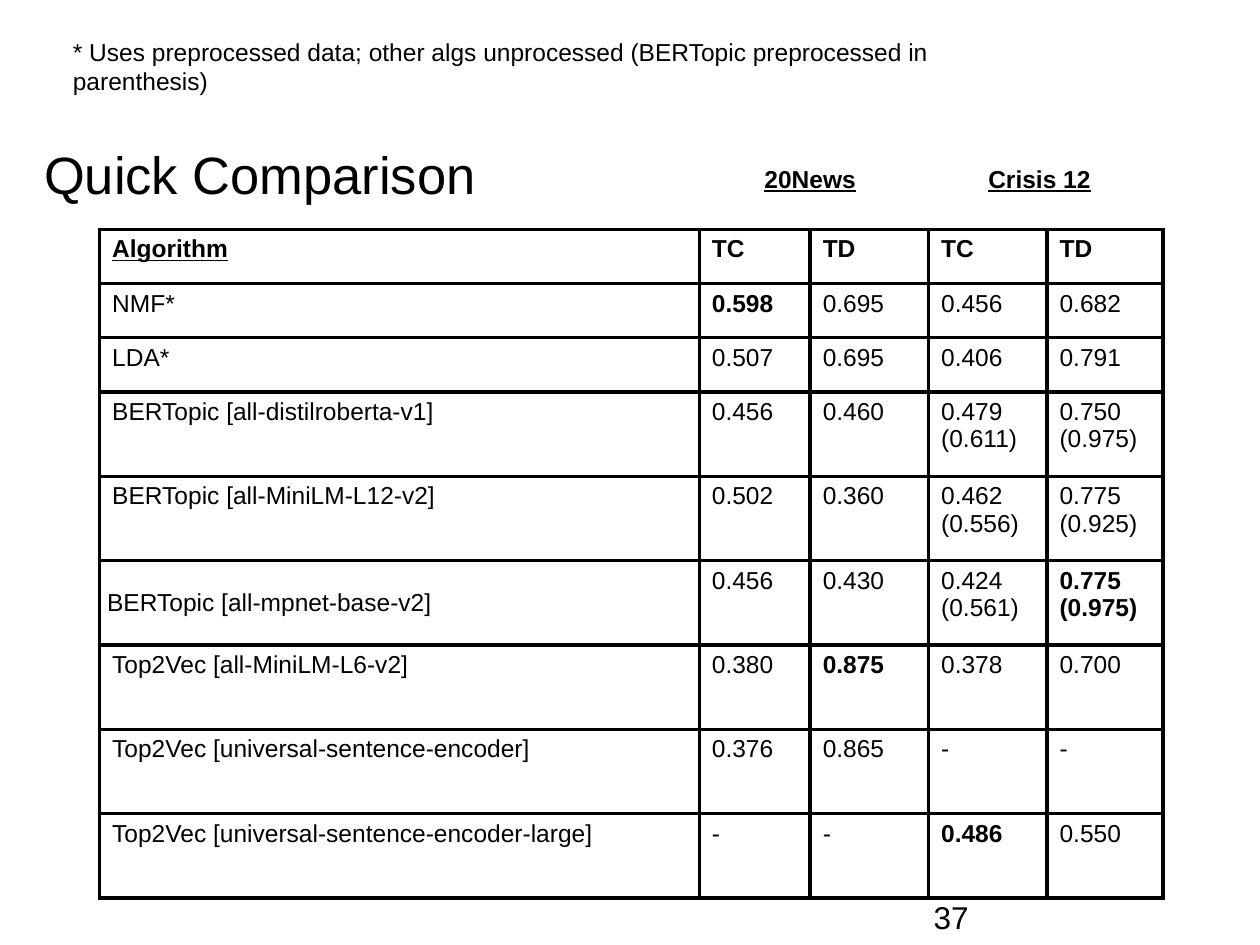
"""Build a slide comparing topic modelling algorithms on two data sets."""
from lxml.etree import SubElement
from pptx import Presentation
from pptx.dml.color import RGBColor
from pptx.enum.text import MSO_ANCHOR as Anchor, PP_ALIGN as Align
from pptx.oxml.ns import qn
from pptx.util import Inches, Pt

BLACK = RGBColor(0x00, 0x00, 0x00)
FONT = "Arial"
BORDER_WIDTH = Pt(2.21)


def write_text(frame, text, size=14, bold=False, underline=False,
               align=Align.LEFT, spacing=None):
    frame.word_wrap = True
    paragraph = frame.paragraphs[0]
    paragraph.alignment = align
    paragraph.line_spacing = spacing
    run = paragraph.add_run()
    run.text = text
    run.font.name = FONT
    run.font.size = Pt(size)
    run.font.bold = bold
    run.font.underline = underline
    run.font.color.rgb = BLACK


def add_borders(cell):
    properties = cell._tc.get_or_add_tcPr()
    for position, side in enumerate(("a:lnL", "a:lnR", "a:lnT", "a:lnB")):
        line = SubElement(properties, qn(side), w=str(BORDER_WIDTH))
        fill = SubElement(line, qn("a:solidFill"))
        SubElement(fill, qn("a:srgbClr"), val=str(BLACK))
        properties.remove(line)
        properties.insert(position, line)


presentation = Presentation()
presentation.slide_width = Inches(10)
presentation.slide_height = Inches(7.5)
slide = presentation.slides.add_slide(presentation.slide_layouts[6])

heading = {"bold": True, "underline": True, "align": Align.CENTER}
note = ("* Uses preprocessed data; other algs unprocessed "
        "(BERTopic preprocessed in parenthesis)")
text_boxes = [
    ("37", (7.41, 7.08, 2.24, 0.4), (0, 0.05), Anchor.MIDDLE, {"size": 18}),
    ("Quick Comparison", (0.35, 1.1, 9.3, 0.45), (0, 0), Anchor.TOP,
     {"size": 30, "spacing": 1.06}),
    ("20News", (5.75, 1.2, 1.36, 0.43), (0.1, 0.1), Anchor.TOP, heading),
    ("Crisis 12", (7.57, 1.2, 1.36, 0.43), (0.1, 0.1), Anchor.TOP, heading),
    (note, (0.48, 0.19, 8.11, 0.67), (0.1, 0.1), Anchor.TOP, {}),
]
for text, bounds, (side_margin, end_margin), anchor, text_format in text_boxes:
    box = slide.shapes.add_textbox(*[Inches(length) for length in bounds])
    frame = box.text_frame
    frame.margin_left = frame.margin_right = Inches(side_margin)
    frame.margin_top = frame.margin_bottom = Inches(end_margin)
    frame.vertical_anchor = anchor
    write_text(frame, text, **text_format)

rows = [
    ("Algorithm", "TC", "TD", "TC", "TD"),
    ("NMF*", "0.598", "0.695", "0.456", "0.682"),
    ("LDA*", "0.507", "0.695", "0.406", "0.791"),
    ("BERTopic [all-distilroberta-v1]", "0.456", "0.460",
     "0.479 (0.611)", "0.750 (0.975)"),
    ("BERTopic [all-MiniLM-L12-v2]", "0.502", "0.360",
     "0.462 (0.556)", "0.775 (0.925)"),
    ("BERTopic [all-mpnet-base-v2]", "0.456", "0.430",
     "0.424 (0.561)", "0.775 (0.975)"),
    ("Top2Vec [all-MiniLM-L6-v2]", "0.380", "0.875", "0.378", "0.700"),
    ("Top2Vec [universal-sentence-encoder]", "0.376", "0.865", "-", "-"),
    ("Top2Vec [universal-sentence-encoder-large]", "-", "-", "0.486", "0.550"),
]
best_scores = {"0.598", "0.875", "0.486", "0.775 (0.975)"}
column_widths = [4.76, 0.88, 0.94, 0.94, 0.92]
row_heights = [0.43] * 3 + [0.67] * 6

table = slide.shapes.add_table(
    len(rows), len(column_widths), Inches(0.79), Inches(1.82),
    Inches(sum(column_widths)), Inches(sum(row_heights))).table
table.first_row = False
table.horz_banding = False
for column, width in zip(table.columns, column_widths):
    column.width = Inches(width)
for row, height in zip(table.rows, row_heights):
    row.height = Inches(height)

for row_index, values in enumerate(rows):
    for column_index, value in enumerate(values):
        cell = table.cell(row_index, column_index)
        cell.fill.background()
        cell.margin_left = cell.margin_right = Inches(0.1)
        cell.margin_top = cell.margin_bottom = Inches(0.05)
        add_borders(cell)
        write_text(cell.text_frame, value,
                   bold=row_index == 0 or value in best_scores,
                   underline=value == "Algorithm")

centred_cell = table.cell(5, 0)
centred_cell.vertical_anchor = Anchor.MIDDLE
centred_cell.margin_left = centred_cell.margin_right = Inches(0.06)

presentation.save("out.pptx")
